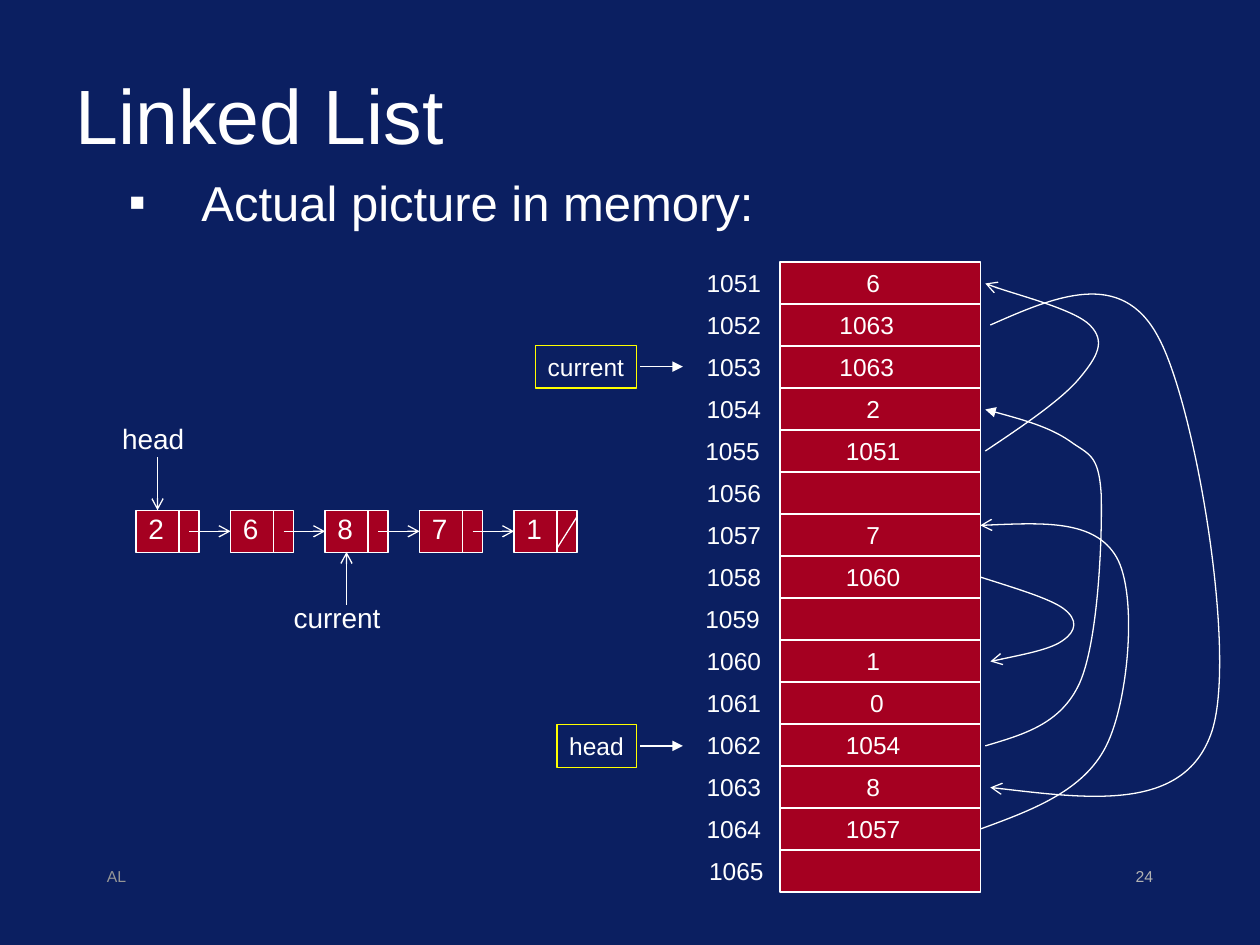
from lxml.etree import SubElement as Sub
from pptx import Presentation
from pptx.dml.color import RGBColor as RGB
from pptx.enum.shapes import MSO_CONNECTOR as Link, MSO_SHAPE as Kind
from pptx.enum.text import MSO_ANCHOR as Anchor, MSO_AUTO_SIZE as Auto, PP_ALIGN as Align
from pptx.oxml.ns import qn
from pptx.util import Cm, Pt

# Content
HEX = {"back": "0B1F61", "cell": "A50021", "ink": "FFFFFF",
       "frame": "FFFF00", "page": "B2B2B2", "foot": "969696"}
TITLE = "Linked List"
POINT = "Actual picture in memory:"
FIRST = 1051
# Value of each memory cell and the centre of its text
CELLS = [("6", 6.93), ("1063", 6.88), ("1063", 6.88), ("2", 6.93), ("1051", 6.93),
         ("", 0), ("7", 6.93), ("1060", 6.93), ("", 0), ("1", 6.93), ("0", 6.96),
         ("1054", 6.93), ("8", 6.93), ("1057", 6.93), ("", 0)]
SHIFT = {1055: -0.01, 1059: -0.01, 1065: 0.02}
NODES = ["2", "6", "8", "7", "1"]
# Pointer boxes: label, left, top, width
BOXES = [("head", 4.42, 5.75, 0.63), ("current", 4.25, 2.74, 0.8)]
# Node labels: label, left, top, width, arrow x, arrow start, arrow end
MARKS = [("head", 0.87, 3.3, 0.69, 1.25, 3.63, 4.05),
         ("current", 2.23, 4.72, 0.89, 2.75, 4.8, 4.38)]
# Footer: text, left, alignment, colour
FOOT = [("24", 7.17, Align.RIGHT, "page"), ("AL", 0.75, Align.LEFT, "foot")]
# Pointer curves: arrowhead, start, then Bezier points in threes
CURVES = [
    ("arrow", [(7.82, 3.58), (8.12, 3.38), (8.43, 3.17), (8.57, 3), (8.71, 2.83),
               (8.78, 2.71), (8.65, 2.58), (8.53, 2.46), (7.96, 2.31), (7.82, 2.25)]),
    ("arrow", [(7.86, 2.58), (8.38, 2.35), (8.9, 2.13), (9.19, 2.67), (9.49, 3.21),
               (9.83, 5.24), (9.61, 5.83), (9.39, 6.43), (8.62, 6.34), (7.86, 6.25)]),
    ("arrow", [(7.78, 6.58), (8.19, 6.43), (8.6, 6.28), (8.78, 5.92), (8.96, 5.56),
               (9.03, 4.71), (8.86, 4.42), (8.69, 4.13), (8.24, 4.15), (7.78, 4.17)]),
    ("arrow", [(7.78, 4.58), (8.06, 4.67), (8.33, 4.75), (8.44, 4.83), (8.56, 4.92),
               (8.54, 5.01), (8.44, 5.08), (8.35, 5.15), (8.1, 5.2), (7.86, 5.25)]),
    ("triangle", [(7.82, 5.92), (8.12, 5.83), (8.42, 5.75), (8.57, 5.42), (8.72, 5.08),
                  (8.75, 4.24), (8.74, 3.92), (8.72, 3.6), (8.64, 3.61), (8.49, 3.5),
                  (8.33, 3.39), (8.08, 3.32), (7.82, 3.25)]),
]

# Grid, in inches
ROW = 1 / 3
MEM = {"x": 6.19, "y": 2.08, "w": 1.59}
NODE = {"x": 1.08, "y": 4.05, "w": 0.5, "step": 0.75}


def cm(*vals):
    return [Cm(v * 2.54) for v in vals]


def hue(name):
    return RGB.from_string(HEX[name])


def write(shape, text, size, color="ink", align=Align.CENTER, wrap=False):
    frame = shape.text_frame
    frame.auto_size = Auto.NONE
    frame.word_wrap = wrap
    para = frame.paragraphs[0]
    para.alignment = align
    run = para.add_run()
    run.text = text
    for key, val in {"name": "Arial", "size": Pt(size)}.items():
        setattr(run.font, key, val)
    run.font.color.rgb = hue(color)
    return para


def label(text, x, y, w, h, size, **form):
    return write(slide.shapes.add_textbox(*cm(x, y, w, h)), text, size, **form)


def stroke(shape, color="ink", tip=None):
    shape.line.color.rgb = hue(color)
    shape.line.width = Pt(0.75)
    if tip:
        Sub(shape.element.spPr.find(qn("a:ln")), qn("a:tailEnd"), type=tip)


def rule(x1, y1, x2, y2, tip=None):
    line = slide.shapes.add_connector(Link.STRAIGHT, *cm(x1, y1, x2, y2))
    stroke(line, tip=tip)
    Sub(line.element.spPr, qn("a:effectLst"))


def rect(x, y, w, h, fill=None, color="ink"):
    box = slide.shapes.add_shape(Kind.RECTANGLE, *cm(x, y, w, h))
    box.shadow.inherit = False
    if fill:
        box.fill.solid()
        box.fill.fore_color.rgb = hue(fill)
    else:
        box.fill.background()
    stroke(box, color)
    return box


def curve(tip, pts):
    ends = [cm(*pt) for pt in pts]
    form = slide.shapes.build_freeform(*ends[0])
    form.add_line_segments(ends[1:], close=False)
    shape = form.convert_to_shape()
    shape.shadow.inherit = False
    shape.fill.background()
    stroke(shape, tip=tip)
    # Turn every three line points into one Bezier segment
    track = shape.element.spPr.find(".//" + qn("a:path"))
    legs = track.findall(qn("a:lnTo"))
    for i in range(0, len(legs), 3):
        bend = Sub(track, qn("a:cubicBezTo"))
        for leg in legs[i:i + 3]:
            bend.append(leg[0])
            track.remove(leg)


def place(shape, *area):
    for key, val in zip(("left", "top", "width", "height"), cm(*area)):
        setattr(shape, key, val)


deck = Presentation()
deck.slide_width, deck.slide_height = cm(10, 7.5)
slide = deck.slides.add_slide(deck.slide_layouts[1])
slide.background.fill.solid()
slide.background.fill.fore_color.rgb = hue("back")

# Title and bullet
title, body = slide.placeholders
place(title, 0.5, 0.4, 9, 1)
write(title, TITLE, 44, align=Align.LEFT, wrap=True)
title.text_frame.vertical_anchor = Anchor.MIDDLE
place(body, 0.92, 1.41, 9, 0.75)
para = write(body, POINT, 28, align=Align.LEFT, wrap=True)
para.line_spacing = 0.8
para.space_before = Pt(0)
props = para._p.get_or_add_pPr()
props.set("marL", str(Cm(1.47)))
props.set("indent", str(Cm(-1.47)))
Sub(Sub(props, qn("a:buClr")), qn("a:srgbClr"), val=HEX["ink"])
Sub(props, qn("a:buChar"), char="▪")

# Memory column with addresses and values
rect(MEM["x"], MEM["y"], MEM["w"], ROW * len(CELLS), "cell")
for i, (val, mid) in enumerate(CELLS):
    y = MEM["y"] + i * ROW
    addr = FIRST + i
    if i:
        rule(MEM["x"], y, MEM["x"] + MEM["w"], y)
    label(str(addr), 5.51 + SHIFT.get(addr, 0), y, 0.63, 0.34, 14)
    if val:
        w = 0.31 if len(val) == 1 else 0.63
        label(val, mid - w / 2, y, w, 0.34, 14)

# Pointer boxes and curves
for text, x, y, w in BOXES:
    write(rect(x, y, w, 0.34, color="frame"), text, 14)
    rule(5.08, y + 0.17, 5.42, y + 0.17, "triangle")
for tip, pts in CURVES:
    curve(tip, pts)

# Linked nodes
y, low = NODE["y"], NODE["y"] + ROW
for i, text in enumerate(NODES):
    x = NODE["x"] + i * NODE["step"]
    cut = x + 0.34
    rect(x, y, NODE["w"], ROW, "cell")
    rule(cut, y, cut, low)
    label(text, x, y - 0.04, 0.27, 0.37, 16, align=Align.LEFT, wrap=True)
    if i < len(NODES) - 1:
        rule(x + 0.42, y + ROW / 2, x + NODE["step"], y + ROW / 2, "arrow")
    else:
        rule(x + NODE["w"], y + 0.05, cut, low - 0.03)

# Node labels
for text, x, y, w, mid, start, end in MARKS:
    label(text, x, y, w, 0.37, 16)
    rule(mid, start, mid, end, "arrow")

# Footer
for text, x, align, color in FOOT:
    label(text, x, 6.83, 2.08, 0.5, 9, color=color, align=align, wrap=True)

deck.save("out.pptx")
